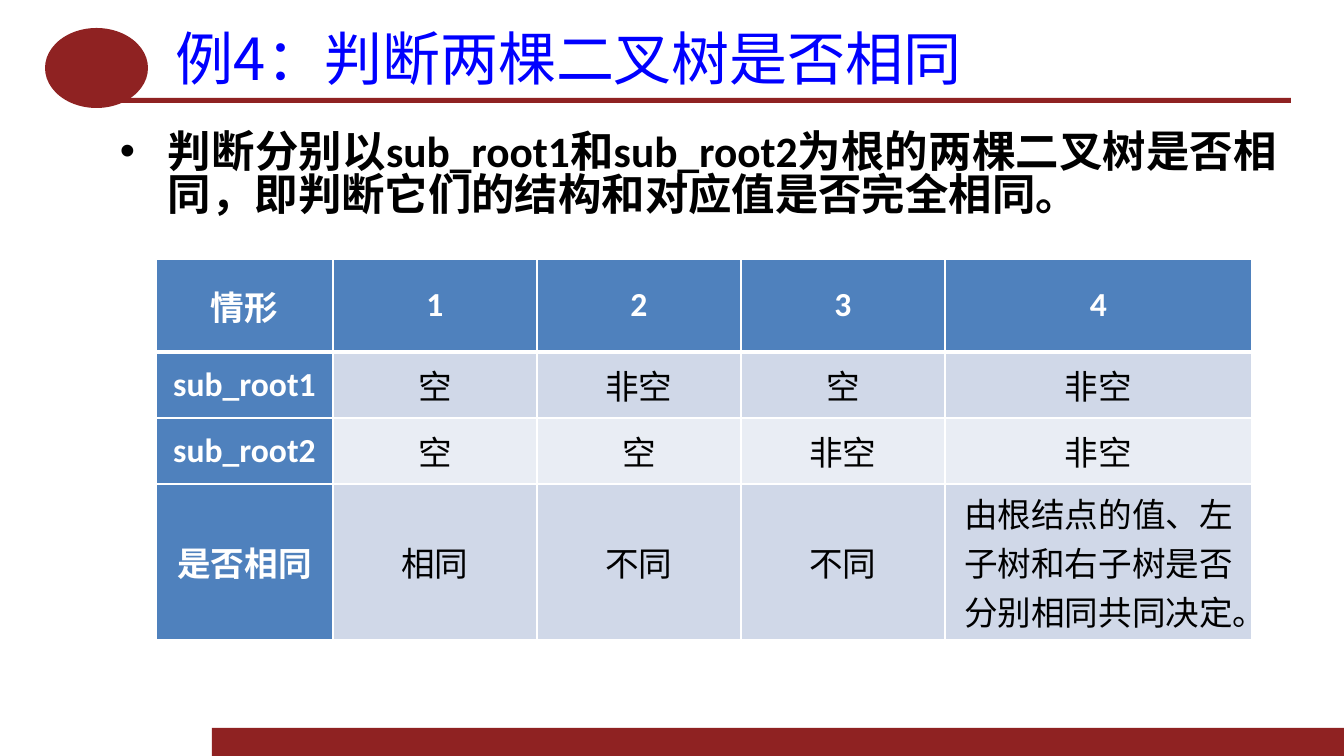
from dataclasses import dataclass

from lxml import etree
from pptx import Presentation
from pptx.dml.color import RGBColor
from pptx.enum.shapes import MSO_SHAPE
from pptx.enum.text import MSO_ANCHOR, PP_ALIGN
from pptx.oxml.ns import qn
from pptx.util import Emu, Pt

PX = 914400 / 100.8
RECTANGLE, OVAL = MSO_SHAPE.RECTANGLE, MSO_SHAPE.OVAL
TOP, MIDDLE = MSO_ANCHOR.TOP, MSO_ANCHOR.MIDDLE
CENTER, JUSTIFY = PP_ALIGN.CENTER, PP_ALIGN.JUSTIFY


@dataclass(frozen=True)
class Theme:
    maroon: str = "8F2222"
    blue: str = "0000FF"
    black: str = "000000"
    white: str = "FFFFFF"
    header: str = "4F81BD"
    bands: tuple = ("D0D8E8", "E9EDF4")
    latin: str = "Calibri"
    chinese: str = "Noto Sans CJK SC"
    title_size: float = 41.4
    body_size: float = 31
    table_size: float = 24
    line_width: float = 1
    header_line_width: float = 3


THEME = Theme()

CASES = [
    ["情形", "1", "2", "3", "4"],
    ["sub_root1", "空", "非空", "空", "非空"],
    ["sub_root2", "空", "空", "非空", "非空"],
    ["是否相同", "相同", "不同", "不同",
     "由根结点的值、左子树和右子树是否分别相同共同决定。"],
]
COLUMN_WIDTHS = [177, 204, 204, 204, 307]
ROW_HEIGHTS = [93, 66, 66, 156]


def px(length):
    return Emu(round(length * PX))


def style_paragraph(paragraph, size, color, align, font=THEME.latin, bold=False):
    paragraph.alignment = align
    for run in paragraph.runs:
        run.font.size = Pt(size)
        run.font.bold = bold
        run.font.name = font
        run.font.color.rgb = RGBColor.from_string(color)
        east_asian = etree.SubElement(run._r.get_or_add_rPr(), qn("a:ea"))
        east_asian.set("typeface", THEME.chinese)


def add_ornament(slide, preset, *box):
    ornament = slide.shapes.add_shape(preset, *map(px, box))
    ornament.shadow.inherit = False
    ornament.fill.solid()
    ornament.fill.fore_color.rgb = RGBColor.from_string(THEME.maroon)
    ornament.line.fill.background()


def add_text(slide, text, box, anchor):
    """Add a wrapped text box and return its only paragraph."""
    frame = slide.shapes.add_textbox(*map(px, box)).text_frame
    frame.word_wrap = True
    frame.vertical_anchor = anchor
    frame.margin_left = frame.margin_right = px(13)
    frame.margin_top = frame.margin_bottom = px(6)
    frame.text = text
    return frame.paragraphs[0]


def add_bullet(paragraph, indent):
    properties = paragraph._p.get_or_add_pPr()
    properties.set("marL", str(px(indent)))
    properties.set("indent", str(-px(indent)))
    etree.SubElement(properties, qn("a:buFont")).set("typeface", "Arial")
    etree.SubElement(properties, qn("a:buChar")).set("char", "•")


def set_borders(cell, widths):
    """Draw white borders; widths holds points for left, right, top, bottom."""
    properties = cell._tc.get_or_add_tcPr()
    for side, width in zip("LRTB", widths):
        line = etree.SubElement(properties, qn(f"a:ln{side}"), w=str(Pt(width)))
        fill = etree.SubElement(line, qn("a:solidFill"))
        etree.SubElement(fill, qn("a:srgbClr"), val=THEME.white)


def fill_cell(cell, text, row, column):
    is_header = row == 0 or column == 0
    thin, thick = THEME.line_width, THEME.header_line_width
    set_borders(cell, (thin, thin, thick if row == 1 else thin,
                       thick if row == 0 else thin))
    cell.fill.solid()
    cell.fill.fore_color.rgb = RGBColor.from_string(
        THEME.header if is_header else THEME.bands[(row - 1) % 2])
    cell.vertical_anchor = MIDDLE
    cell.margin_left = cell.margin_right = px(7)
    cell.margin_top = cell.margin_bottom = 0
    cell.text_frame.text = text
    style_paragraph(cell.text_frame.paragraphs[0], THEME.table_size,
                    THEME.white if is_header else THEME.black,
                    CENTER, bold=is_header)


def add_case_table(slide, left, top):
    table = slide.shapes.add_table(
        len(ROW_HEIGHTS), len(COLUMN_WIDTHS), px(left), px(top),
        px(sum(COLUMN_WIDTHS)), px(sum(ROW_HEIGHTS))).table
    for column, width in zip(table.columns, COLUMN_WIDTHS):
        column.width = px(width)
    for row, height in zip(table.rows, ROW_HEIGHTS):
        row.height = px(height)
    for r, texts in enumerate(CASES):
        for c, text in enumerate(texts):
            fill_cell(table.cell(r, c), text, r, c)


def main():
    deck = Presentation()
    deck.slide_width, deck.slide_height = px(1344), px(756)
    slide = deck.slides.add_slide(deck.slide_layouts[6])

    add_ornament(slide, RECTANGLE, 212, 728, 1132, 28)
    add_ornament(slide, RECTANGLE, 119, 98, 1172, 5)
    add_ornament(slide, OVAL, 45, 28, 103, 80)

    task = add_text(
        slide,
        "判断分别以sub_root1和sub_root2为根的两棵二叉树是否相同，"
        "即判断它们的结构和对应值是否完全相同。",
        (107, 127, 1183, 536), TOP)
    task.line_spacing = 0.83
    add_bullet(task, 48)
    style_paragraph(task, THEME.body_size, THEME.black, JUSTIFY, bold=True)

    title = add_text(slide, "例4：判断两棵二叉树是否相同", (163, 21, 1128, 72), MIDDLE)
    style_paragraph(title, THEME.title_size, THEME.blue, JUSTIFY,
                    font=THEME.chinese)

    add_case_table(slide, 156, 259)
    deck.save("out.pptx")


if __name__ == "__main__":
    main()
